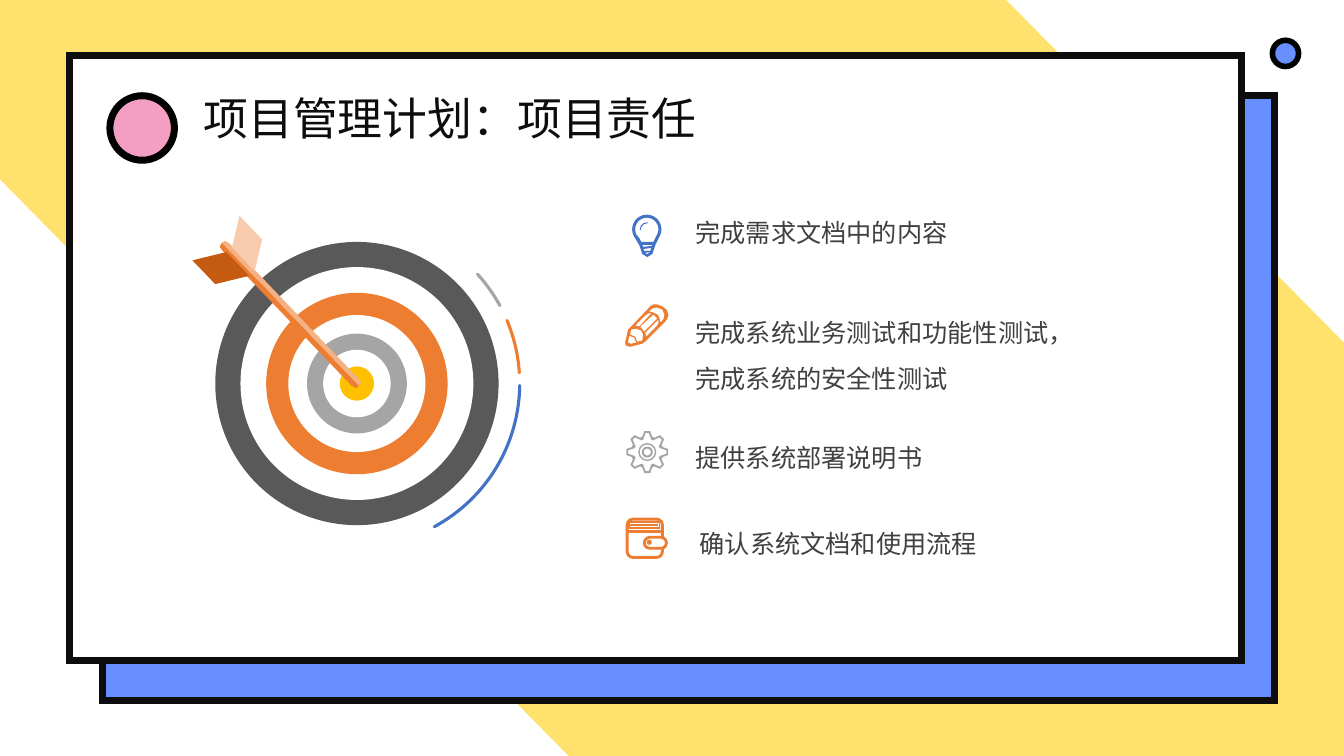
"""Build the project responsibility slide with a target and four tasks."""
import math

import lxml.etree
import pptx
import pptx.dml.color
import pptx.enum.shapes
import pptx.enum.text
import pptx.oxml.ns
import pptx.util

Inches = pptx.util.Inches
RGBColor = pptx.dml.color.RGBColor
SHAPE = pptx.enum.shapes.MSO_SHAPE
qn = pptx.oxml.ns.qn

WHITE = RGBColor(0xFF, 0xFF, 0xFF)
BLACK = RGBColor(0x00, 0x00, 0x00)
INK = RGBColor(0x0D, 0x0D, 0x0D)
YELLOW = RGBColor(0xFF, 0xE2, 0x6D)
PERIWINKLE = RGBColor(0x67, 0x8F, 0xFF)
PINK = RGBColor(0xF3, 0x9E, 0xC2)
CHARCOAL = RGBColor(0x59, 0x59, 0x59)
TEXT_GRAY = RGBColor(0x40, 0x40, 0x40)
GRAY = RGBColor(0xA5, 0xA5, 0xA5)
ORANGE = RGBColor(0xED, 0x7D, 0x31)
BLUE = RGBColor(0x44, 0x72, 0xC4)
GOLD = RGBColor(0xFF, 0xC0, 0x00)
RUST = RGBColor(0xC5, 0x5A, 0x11)
APRICOT = RGBColor(0xF4, 0xB1, 0x83)
PEACH = RGBColor(0xF8, 0xCB, 0xAD)


def arc_points(x, y, radius, start, end, steps=24):
    """Return points along a circular arc, with angles in degrees."""
    angles = [math.radians(start + (end - start) * i / steps) for i in range(steps + 1)]
    return [(x + radius * math.cos(a), y + radius * math.sin(a)) for a in angles]


def gear_points(x, y, tip, root, tip_angle, root_angle, teeth=8):
    """Return the outline of a gear wheel."""
    corners = [(root, -root_angle), (tip, -tip_angle), (tip, tip_angle), (root, root_angle)]
    polar = [(r, math.radians(360 * tooth / teeth + a)) for tooth in range(teeth) for r, a in corners]
    return [(x + r * math.cos(a), y + r * math.sin(a)) for r, a in polar]


class SlideBuilder:
    """Hold the slide and its style, and draw each kind of element."""

    def __init__(self, page, title_font, body_font):
        """Keep the page and the two fonts."""
        self.page = page
        self.title_font = title_font
        self.body_font = body_font

    def paint(self, shape, fill, line, width):
        """Set the fill and line of a shape and drop its shadow."""
        shape.shadow.inherit = False
        if fill is None:
            shape.fill.background()
        else:
            shape.fill.solid()
            shape.fill.fore_color.rgb = fill
        if line is None:
            shape.line.fill.background()
        else:
            shape.line.color.rgb = line
            shape.line.width = pptx.util.Pt(width)
            outline = shape.element.spPr.find(qn("a:ln"))
            lxml.etree.SubElement(outline, qn("a:miter"), lim="800000")
        return shape

    def shape(self, kind, x, y, width, height, fill=None, line=None, weight=1, adjust=()):
        """Add a preset shape."""
        shape = self.page.shapes.add_shape(kind, Inches(x), Inches(y), Inches(width), Inches(height))
        for index, value in enumerate(adjust):
            shape.adjustments[index] = value
        return self.paint(shape, fill, line, weight)

    def circle(self, x, y, diameter, fill, **style):
        """Add a circle around a centre."""
        radius = diameter / 2
        return self.shape(SHAPE.OVAL, x - radius, y - radius, diameter, diameter, fill, **style)

    def arc(self, x, y, diameter, start, end, line, weight=2.25):
        """Add a round-ended arc around a centre, with angles in degrees."""
        radius = diameter / 2
        arc = self.shape(SHAPE.ARC, x - radius, y - radius, diameter, diameter,
                         line=line, weight=weight, adjust=(start * 0.6, end * 0.6))
        arc.element.spPr.find(qn("a:ln")).set("cap", "rnd")

    def outline(self, fill, *contours):
        """Add a filled freeform; inner contours cut holes."""
        scaled = [[(Inches(x), Inches(y)) for x, y in contour] for contour in contours]
        builder = self.page.shapes.build_freeform(*scaled[0][0], scale=1.0)
        for index, contour in enumerate(scaled):
            if index:
                builder.move_to(*contour[0])
            builder.add_line_segments(contour[1:], close=True)
        return self.paint(builder.convert_to_shape(), fill, None, 0)

    def rule(self, x1, x2, y, color, weight):
        """Add a horizontal line."""
        rule = self.page.shapes.add_connector(pptx.enum.shapes.MSO_CONNECTOR.STRAIGHT,
                                              Inches(x1), Inches(y), Inches(x2), Inches(y))
        rule.line.color.rgb = color
        rule.line.width = pptx.util.Pt(weight)
        lxml.etree.SubElement(rule.element.spPr, qn("a:effectLst"))

    def text(self, text, x, y, width, height, size=18, font=None, color=TEXT_GRAY,
             spacing=1.5, align=None):
        """Add a wrapped text box."""
        box = self.page.shapes.add_textbox(Inches(x), Inches(y), Inches(width), Inches(height))
        box.text_frame.word_wrap = True
        box.text_frame.auto_size = pptx.enum.text.MSO_AUTO_SIZE.SHAPE_TO_FIT_TEXT
        para = box.text_frame.paragraphs[0]
        para.line_spacing = spacing
        para.alignment = align
        span = para.add_run()
        span.text = text
        span.font.size = pptx.util.Pt(size)
        span.font.color.rgb = color
        span.font.name = font or self.body_font
        lxml.etree.SubElement(span.font._element, qn("a:ea"), typeface=span.font.name)


def draw_frame(slide):
    """Draw the backdrop, the stacked panels and the title."""
    slide.outline(YELLOW, [(9.98, 0), (0, 0), (0, 1.78), (5.64, 7.5), (13.33, 7.5), (13.33, 3.4)])
    for x, y, fill in [(1.02, 0.95, PERIWINKLE), (0.69, 0.55, WHITE)]:
        slide.shape(SHAPE.RECTANGLE, x, y, 11.62, 6, fill, line=INK, weight=5)
    slide.circle(1.41, 1.27, 0.64, PINK, line=BLACK, weight=5)
    slide.circle(12.75, 0.53, 0.26, PERIWINKLE, line=BLACK, weight=4)
    slide.text("项目管理计划：项目责任", 1.92, 0.85, 6.47, 0.64, size=32, font=slide.title_font,
               color=INK, spacing=None, align=pptx.enum.text.PP_ALIGN.JUSTIFY)


def draw_target(slide):
    """Draw the target with its arrow and surrounding arcs."""
    x, y = 3.54, 3.805
    for start, end, color in [(337.2, 356.2, ORANGE), (0.7, 61.6, BLUE), (317.8, 331.4, GRAY)]:
        slide.arc(x, y, 3.23, start, end, color)
    rings = [(2.81, CHARCOAL), (2.31, WHITE), (1.8, ORANGE), (1.36, WHITE),
             (0.99, GRAY), (0.67, WHITE), (0.34, GOLD)]
    for diameter, color in rings:
        slide.circle(x, y, diameter, color)
    slide.outline(APRICOT, [(2.2, 2.41), (3.56, 3.83), (3.58, 3.8), (3.56, 3.76), (2.27, 2.41), (2.23, 2.39)])
    slide.outline(ORANGE, [(2.2, 2.41), (3.56, 3.83), (3.53, 3.85), (3.49, 3.83), (2.2, 2.48), (2.18, 2.45)])
    fin = slide.shape(SHAPE.PARALLELOGRAM, 1.94, 2.51, 0.5, 0.3, RUST, adjust=(0.578,))
    fin.rotation = 46.2
    fin = slide.shape(SHAPE.PARALLELOGRAM, 2.2, 2.28, 0.5, 0.27, PEACH, adjust=(0.651,))
    fin.rotation = 226.2
    fin.element.spPr.find(qn("a:xfrm")).set("flipV", "1")


def draw_bulb(slide):
    """Draw the light bulb icon."""
    slide.outline(
        BLUE,
        arc_points(6.415, 2.275, 0.145, 150, 390) + [(6.5, 2.43), (6.47, 2.52), (6.42, 2.55), (6.37, 2.52), (6.34, 2.43)],
        arc_points(6.415, 2.275, 0.115, 150, 390) + [(6.5, 2.36), (6.48, 2.4), (6.36, 2.4), (6.34, 2.36)],
        [(6.37, 2.43), (6.47, 2.43), (6.46, 2.44), (6.38, 2.45)],
        [(6.38, 2.47), (6.46, 2.46), (6.45, 2.49), (6.39, 2.49)],
        [(6.39, 2.51), (6.45, 2.5), (6.42, 2.52)])
    slide.arc(6.42, 2.28, 0.14, 180, 270, BLUE, 0.75)


def draw_pencil(slide):
    """Draw the pencil icon."""
    slide.outline(
        ORANGE,
        [(6.2, 3.4), (6.23, 3.27), (6.25, 3.25), (6.45, 3.04), (6.48, 3.02), (6.52, 3.02), (6.57, 3.04), (6.61, 3.07),
         (6.63, 3.12), (6.62, 3.16), (6.6, 3.19), (6.4, 3.39), (6.37, 3.41), (6.25, 3.44), (6.21, 3.43)],
        [(6.4, 3.3), (6.53, 3.17), (6.53, 3.21), (6.51, 3.24), (6.41, 3.34)],
        [(6.39, 3.29), (6.35, 3.24), (6.48, 3.12), (6.5, 3.14), (6.52, 3.16)],
        [(6.34, 3.24), (6.3, 3.23), (6.4, 3.13), (6.43, 3.11), (6.46, 3.11)],
        [(6.26, 3.41), (6.23, 3.4), (6.24, 3.33), (6.29, 3.35), (6.31, 3.4)],
        [(6.32, 3.39), (6.3, 3.34), (6.25, 3.32), (6.26, 3.27), (6.31, 3.26), (6.36, 3.28), (6.38, 3.32), (6.37, 3.38)],
        [(6.58, 3.17), (6.55, 3.2), (6.54, 3.15), (6.52, 3.12), (6.48, 3.1), (6.44, 3.09),
         (6.47, 3.06), (6.51, 3.05), (6.57, 3.07), (6.59, 3.12)])


def draw_gear(slide):
    """Draw the gear icon."""
    x, y = 6.42, 4.485
    slide.outline(GRAY, gear_points(x, y, 0.21, 0.16, 8, 18), gear_points(x, y, 0.19, 0.13, 5, 18))
    for diameter, ring in [(0.18, 0.08), (0.11, 0.18)]:
        slide.shape(SHAPE.DONUT, x - diameter / 2, y - diameter / 2, diameter, diameter, GRAY, adjust=(ring,))


def draw_wallet(slide):
    """Draw the wallet icon."""
    slide.shape(SHAPE.ROUNDED_RECTANGLE, 6.22, 5.15, 0.35, 0.38, line=ORANGE, weight=2, adjust=(0.16,))
    slide.shape(SHAPE.RECTANGLE, 6.24, 5.18, 0.3, 0.06, line=ORANGE, weight=1)
    slide.rule(6.25, 6.53, 5.21, ORANGE, 1)
    slide.rule(6.23, 6.56, 5.27, ORANGE, 2)
    slide.shape(SHAPE.ROUNDED_RECTANGLE, 6.39, 5.33, 0.22, 0.11, WHITE, line=ORANGE, weight=2, adjust=(0.5,))
    slide.circle(6.44, 5.38, 0.05, ORANGE)


def main():
    """Build and save the deck."""
    deck = pptx.Presentation()
    deck.slide_width, deck.slide_height = Inches(13.33), Inches(7.5)
    page = deck.slides.add_slide(deck.slide_layouts[6])
    slide = SlideBuilder(page, "Noto Sans CJK JP", "Noto Sans CJK SC")
    for draw in (draw_frame, draw_target, draw_bulb, draw_pencil, draw_gear, draw_wallet):
        draw(slide)
    tasks = [("完成需求文档中的内容", 6.8, 1.96, 0.5),
             ("完成系统业务测试和功能性测试，完成系统的安全性测试", 6.8, 2.95, 1.01),
             ("提供系统部署说明书", 6.8, 4.19, 0.5),
             ("确认系统文档和使用流程", 6.84, 5.04, 0.5)]
    for task, x, y, height in tasks:
        slide.text(task, x, y, 4.12, height)
    deck.save("out.pptx")


if __name__ == "__main__":
    main()
